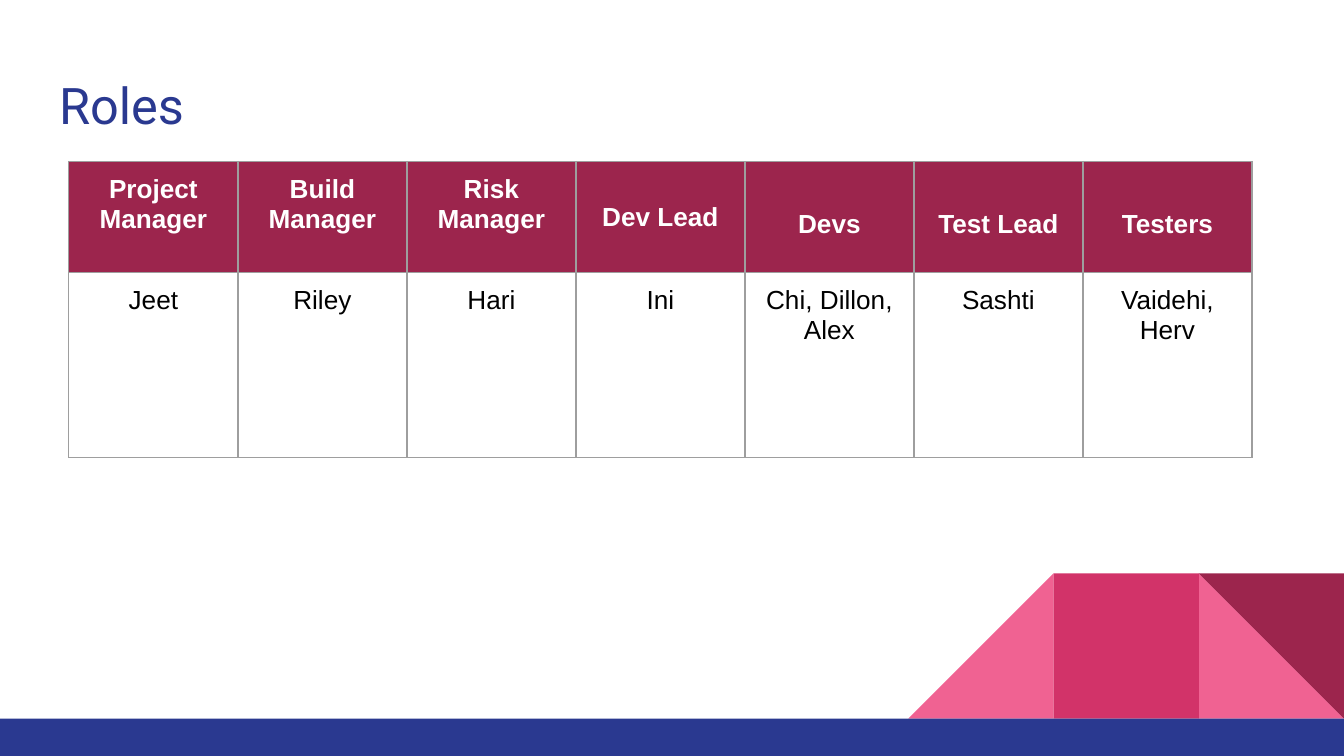
from dataclasses import dataclass

from lxml.etree import SubElement
from pptx import Presentation
from pptx.dml.color import RGBColor as Rgb
from pptx.enum.shapes import MSO_SHAPE as Geo
from pptx.enum.text import MSO_ANCHOR as Anchor, PP_ALIGN as Align
from pptx.oxml.ns import qn
from pptx.slide import Slide
from pptx.table import _Cell as Cell
from pptx.util import Pt


@dataclass(frozen=True)
class Theme:
    blue: str = "2A3990"
    pink: str = "F06292"
    rose: str = "D23369"
    wine: str = "9C254D"
    grey: str = "9E9E9E"
    white: str = "FFFFFF"
    black: str = "000000"
    head: str = "Roboto"
    body: str = "Arial"
    head_size: float = 27
    body_size: float = 14
    rule: float = 0.75
    inset: float = 7.2


@dataclass(frozen=True)
class Block:
    geo: Geo
    left: float
    top: float
    width: float
    height: float
    color: str
    turn: float = 0
    flip: bool = False


@dataclass(frozen=True)
class Role:
    name: str
    people: str
    anchor: Anchor = Anchor.MIDDLE
    space: float = 1.5


THEME = Theme()
WIDTH, HEIGHT = 720, 405
BAR_TOP = 385
SIDE = 77.8
ART_TOP = BAR_TOP - SIDE
COL_1, COL_2, COL_3 = (WIDTH - n * SIDE for n in (3, 2, 1))

BLOCKS = [
    Block(Geo.RIGHT_TRIANGLE, COL_3, ART_TOP, SIDE, SIDE, THEME.pink),
    Block(Geo.RIGHT_TRIANGLE, COL_1, ART_TOP, SIDE, SIDE, THEME.pink, flip=True),
    Block(Geo.RECTANGLE, COL_2, ART_TOP, SIDE, SIDE, THEME.rose),
    Block(Geo.RIGHT_TRIANGLE, COL_3, ART_TOP, SIDE, SIDE, THEME.wine, turn=180),
    Block(Geo.RECTANGLE, 0, BAR_TOP, WIDTH, HEIGHT - BAR_TOP, THEME.blue),
]

ROLES = [
    Role("Project Manager", "Jeet", Anchor.TOP, 1),
    Role("Build Manager", "Riley", Anchor.TOP, 1),
    Role("Risk Manager", "Hari", Anchor.TOP, 1),
    Role("Dev Lead", "Ini", space=1),
    Role("Devs", "Chi, Dillon, Alex"),
    Role("Test Lead", "Sashti"),
    Role("Testers", "Vaidehi, Herv"),
]
TABLE_LEFT, TABLE_TOP = 36.9, 86.5
COL_WIDTH = 90.54
ROW_HEIGHTS = (59.5, 99)


def draw_block(slide: Slide, block: Block) -> None:
    shape = slide.shapes.add_shape(
        block.geo, Pt(block.left), Pt(block.top), Pt(block.width), Pt(block.height))
    shape.shadow.inherit = False
    shape.fill.solid()
    shape.fill.fore_color.rgb = Rgb.from_string(block.color)
    shape.line.fill.background()
    shape.rotation = block.turn
    if block.flip:
        shape.element.spPr.xfrm.set("flipH", "1")


def draw_title(slide: Slide, text: str) -> None:
    title = slide.shapes.title
    title.left, title.top, title.width, title.height = map(Pt, (24.5, 32.4, 671, 47.5))
    frame = title.text_frame
    frame.text = text
    frame.vertical_anchor = Anchor.MIDDLE
    frame.margin_left = frame.margin_right = Pt(THEME.inset)
    frame.margin_top = frame.margin_bottom = Pt(THEME.inset)
    line = frame.paragraphs[0]
    line.alignment = Align.LEFT
    font = line.runs[0].font
    font.name, font.size = THEME.head, Pt(THEME.head_size)
    font.color.rgb = Rgb.from_string(THEME.blue)


def add_rules(cell: Cell) -> None:
    """Draw a thin border on all four sides of the cell."""
    props = cell._tc.get_or_add_tcPr()
    for side in ("lnL", "lnR", "lnT", "lnB"):
        rule = SubElement(props, qn(f"a:{side}"), w=str(Pt(THEME.rule)))
        fill = SubElement(rule, qn("a:solidFill"))
        SubElement(fill, qn("a:srgbClr"), val=THEME.grey)


def fill_cell(cell: Cell, text: str, color: str, bold: bool,
              anchor: Anchor, space: float) -> None:
    cell.text_frame.text = text
    cell.vertical_anchor = anchor
    cell.margin_left = cell.margin_right = Pt(THEME.inset)
    cell.margin_top = cell.margin_bottom = Pt(THEME.inset)
    line = cell.text_frame.paragraphs[0]
    line.alignment, line.line_spacing = Align.CENTER, space
    font = line.runs[0].font
    font.name, font.size, font.bold = THEME.body, Pt(THEME.body_size), bold
    font.color.rgb = Rgb.from_string(color)
    add_rules(cell)


def draw_table(slide: Slide, roles: list[Role]) -> None:
    table = slide.shapes.add_table(
        2, len(roles), Pt(TABLE_LEFT), Pt(TABLE_TOP),
        Pt(COL_WIDTH * len(roles)), Pt(sum(ROW_HEIGHTS))).table
    table.first_row = table.horz_banding = False
    for row, height in zip(table.rows, ROW_HEIGHTS):
        row.height = Pt(height)
    for col, role in enumerate(roles):
        table.columns[col].width = Pt(COL_WIDTH)
        head, body = table.cell(0, col), table.cell(1, col)
        fill_cell(head, role.name, THEME.white, True, role.anchor, role.space)
        head.fill.solid()
        head.fill.fore_color.rgb = Rgb.from_string(THEME.wine)
        fill_cell(body, role.people, THEME.black, False, Anchor.TOP, 1)
        body.fill.background()


def main() -> None:
    deck = Presentation()
    deck.slide_width, deck.slide_height = Pt(WIDTH), Pt(HEIGHT)
    slide = deck.slides.add_slide(deck.slide_layouts[5])
    for block in BLOCKS:
        draw_block(slide, block)
    draw_title(slide, "Roles")
    draw_table(slide, ROLES)
    deck.save("out.pptx")


if __name__ == "__main__":
    main()
